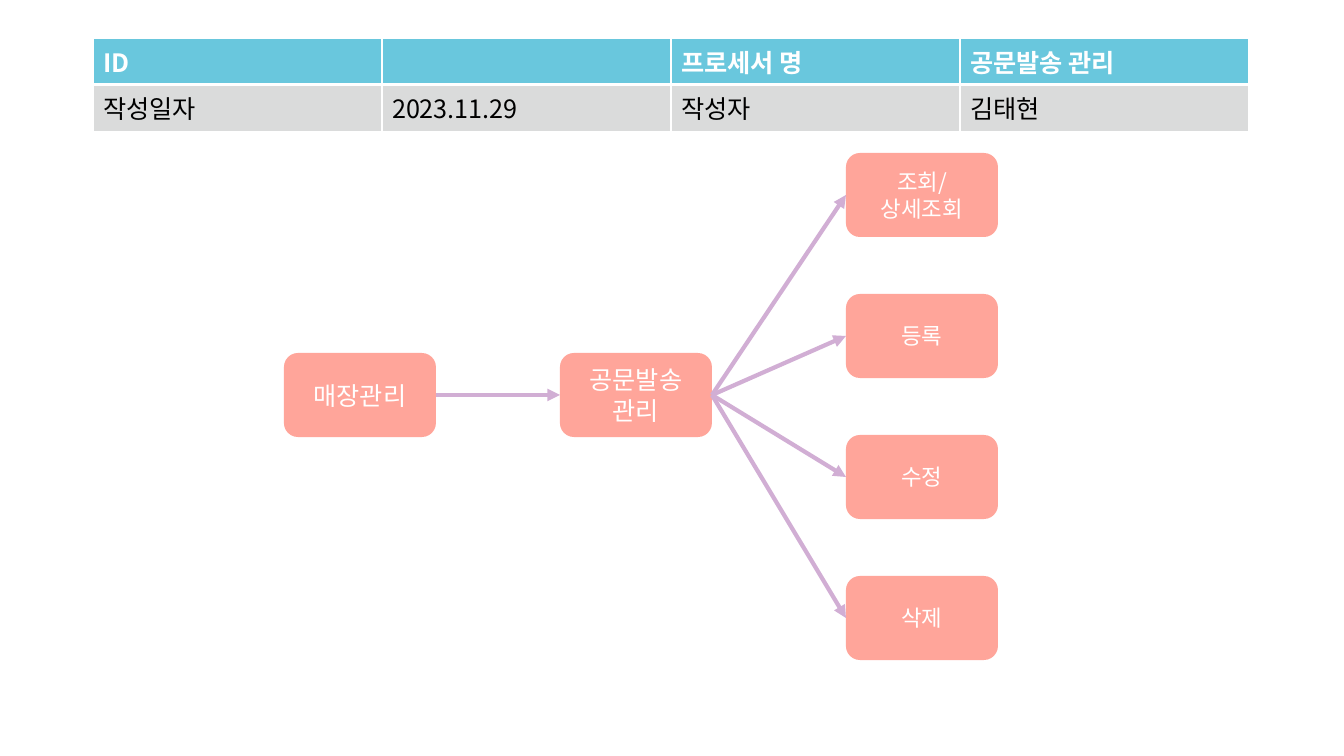
from lxml.etree import SubElement
from pptx import Presentation
from pptx.dml.color import RGBColor
from pptx.enum.shapes import MSO_CONNECTOR as CONN, MSO_SHAPE as SHAPE
from pptx.enum.text import MSO_ANCHOR as ANCHOR, PP_ALIGN as ALIGN
from pptx.oxml import parse_xml
from pptx.oxml.ns import nsdecls, qn
from pptx.util import Emu, Pt

FONT = "Noto Sans CJK KR"
COLORS = {
    "header": "69C7DD",
    "row": "DADBDB",
    "node": "FFA59A",
    "arrow": "D1AED4",
    "white": "FFFFFF",
    "black": "000000",
}
BOX_W, BOX_H = 152, 84
TOP, RIGHT, BOTTOM, LEFT = 0, 3, 2, 1


def px(n):
    return Emu(round(n * 914400 / 100.8))


def color(name):
    return RGBColor.from_string(COLORS[name])


def add_run(p, text, size, col, bold=False):
    r = p.add_run()
    r.text = text
    r.font.name = FONT
    r.font.size = Pt(size)
    r.font.bold = bold
    r.font.color.rgb = color(col)
    SubElement(r.font._element, qn("a:ea")).set("typeface", FONT)


def set_borders(cell, widths):
    tc_pr = cell._tc.get_or_add_tcPr()
    for i, (side, width) in enumerate(zip("LRTB", widths)):
        tc_pr.insert(i, parse_xml(
            f'<a:ln{side} {nsdecls("a")} w="{Pt(width)}"><a:solidFill>'
            f'<a:srgbClr val="{COLORS["white"]}"/></a:solidFill></a:ln{side}>'))


def info_table(slide, x, y, col_w, row_heights):
    rows = [
        ["ID", "", "프로세서 명", "공문발송 관리"],
        ["작성일자", "2023.11.29", "작성자", "김태현"],
    ]
    styles = [("header", "white", True, (1, 1, 1, 3)),
              ("row", "black", False, (1, 1, 3, 1))]
    cols = len(rows[0])
    table = slide.shapes.add_table(len(rows), cols, px(x), px(y),
                                   px(col_w * cols), px(sum(row_heights))).table
    for col in table.columns:
        col.width = px(col_w)
    for i, (texts, style) in enumerate(zip(rows, styles)):
        fill, text_col, bold, widths = style
        table.rows[i].height = px(row_heights[i])
        for j, text in enumerate(texts):
            cell = table.cell(i, j)
            cell.fill.solid()
            cell.fill.fore_color.rgb = color(fill)
            set_borders(cell, widths)
            if text:
                add_run(cell.text_frame.paragraphs[0], text, 18, text_col, bold)


def add_node(slide, x, y, text, size):
    sp = slide.shapes.add_shape(SHAPE.ROUNDED_RECTANGLE,
                                px(x), px(y), px(BOX_W), px(BOX_H))
    sp.shadow.inherit = False
    sp.fill.solid()
    sp.fill.fore_color.rgb = color("node")
    sp.line.fill.background()
    tf = sp.text_frame
    tf.word_wrap = True
    tf.vertical_anchor = ANCHOR.MIDDLE
    p = tf.paragraphs[0]
    p.alignment = ALIGN.CENTER
    add_run(p, text, size, "white")
    return sp


def add_arrow(slide, start, end):
    cx = slide.shapes.add_connector(CONN.STRAIGHT, 0, 0, 0, 0)
    cx.begin_connect(start, RIGHT)
    cx.end_connect(end, LEFT)
    cx.line.color.rgb = color("arrow")
    cx.line.width = Pt(3)
    SubElement(cx.line._get_or_add_ln(), qn("a:tailEnd")).set("type", "triangle")
    SubElement(cx._element.spPr, qn("a:effectLst"))


def process_flow(slide, x, y):
    # Main path
    store = add_node(slide, x, y + 200, "매장관리", 18)
    notice = add_node(slide, x + 276, y + 200, "공문발송 관리", 18)
    add_arrow(slide, store, notice)
    # Functions branching off, evenly stacked
    for i, text in enumerate(["조회/ 상세조회", "등록", "수정", "삭제"]):
        function = add_node(slide, x + 562, y + 141 * i, text, 16)
        add_arrow(slide, notice, function)


def main():
    prs = Presentation()
    prs.slide_width, prs.slide_height = px(1344), px(756)
    slide = prs.slides.add_slide(prs.slide_layouts[6])
    info_table(slide, 93, 38, 289, (43, 41))
    process_flow(slide, 284, 153)
    prs.save("out.pptx")


if __name__ == "__main__":
    main()
